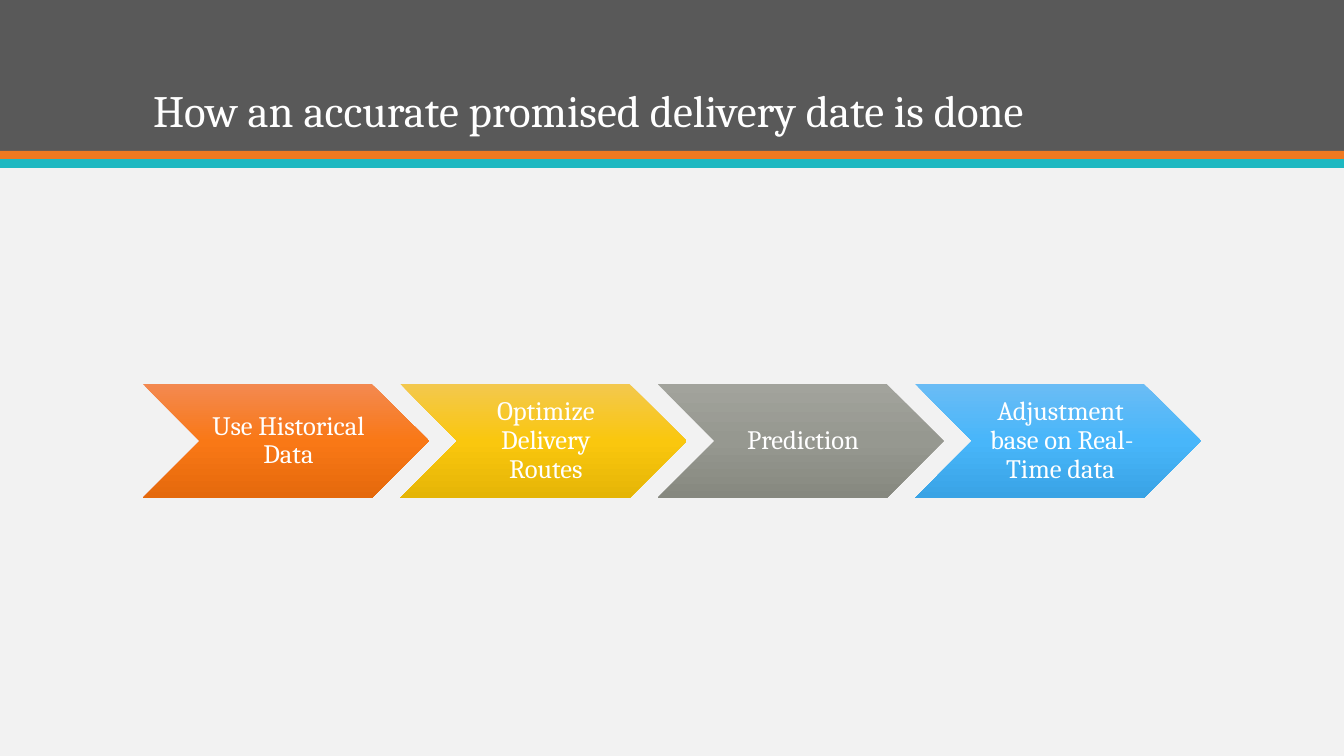
from copy import deepcopy

from pptx import Presentation
from pptx.dml.color import RGBColor
from pptx.enum.shapes import MSO_SHAPE
from pptx.enum.text import MSO_ANCHOR, MSO_AUTO_SIZE, PP_ALIGN
from pptx.oxml.ns import qn
from pptx.util import Pt

WHITE = RGBColor(0xFF, 0xFF, 0xFF)
PALE = RGBColor(0xF2, 0xF2, 0xF2)
CHARCOAL = RGBColor(0x59, 0x59, 0x59)
ORANGE = RGBColor(0xEF, 0x79, 0x20)
TEAL = RGBColor(0x1E, 0xB8, 0xC1)
ORANGE_SHADES = (RGBColor(0xF3, 0x89, 0x50), RGBColor(0xF9, 0x78, 0x16), RGBColor(0xE5, 0x69, 0x0C))
YELLOW_SHADES = (RGBColor(0xF3, 0xC8, 0x4E), RGBColor(0xFA, 0xC7, 0x0E), RGBColor(0xE5, 0xB5, 0x06))
GREY_SHADES = (RGBColor(0xA2, 0xA3, 0x9C), RGBColor(0x96, 0x98, 0x90), RGBColor(0x86, 0x88, 0x7F))
BLUE_SHADES = (RGBColor(0x6A, 0xBC, 0xF5), RGBColor(0x48, 0xB6, 0xFA), RGBColor(0x39, 0xA3, 0xE5))

TITLE = "How an accurate promised delivery date is done"
STEPS = [
    ("Use Historical Data", ORANGE_SHADES),
    ("Optimize Delivery Routes", YELLOW_SHADES),
    ("Prediction", GREY_SHADES),
    ("Adjustment base on Real-Time data", BLUE_SHADES),
]
BANDS = [(0, 151, CHARCOAL), (151, 8, ORANGE), (159, 9, TEAL)]

SLIDE_WIDTH, SLIDE_HEIGHT = 1344, 756
TITLE_BOX = (143, 28, 1058, 114)
STEPS_LEFT, STEPS_TOP, STEPS_WIDTH = 143, 384, 1058
STEP_WIDTH, STEP_HEIGHT = 286, 114
EMU_PER_PX = 914400 / 100.8


def px(length):
    return round(length * EMU_PER_PX)


def set_all(target, values):
    for name, value in values.items():
        setattr(target, name, value)


def write(shape, text, size, align, anchor, margins=None):
    frame = shape.text_frame
    frame.text = text
    set_all(frame, {"word_wrap": True, "auto_size": MSO_AUTO_SIZE.NONE, "vertical_anchor": anchor})
    set_all(frame, margins or {})
    para = frame.paragraphs[0]
    set_all(para, {"alignment": align, "line_spacing": 0.9})
    span = para.runs[0]
    set_all(span.font, {"name": "Cambria", "size": Pt(size)})
    span.font.color.rgb = WHITE


def add_plain_shape(page, kind, box):
    shape = page.shapes.add_shape(kind, *map(px, box))
    shape.shadow.inherit = False
    shape.line.fill.background()
    return shape


def shade(shape, colours):
    shape.fill.gradient()
    shape.fill.gradient_angle = 270
    stop_list = shape.element.spPr.find(qn("a:gradFill")).find(qn("a:gsLst"))
    stop_list.insert(1, deepcopy(stop_list[0]))
    for stop, position, colour in zip(shape.fill.gradient_stops, (0, 0.5, 1), colours):
        stop.position = position
        stop.color.rgb = colour


def main():
    deck = Presentation()
    set_all(deck, {"slide_width": px(SLIDE_WIDTH), "slide_height": px(SLIDE_HEIGHT)})
    page = deck.slides.add_slide(deck.slide_layouts[5])
    page.background.fill.solid()
    page.background.fill.fore_color.rgb = PALE

    title = page.shapes.title
    for top, height, colour in BANDS:
        band = add_plain_shape(page, MSO_SHAPE.RECTANGLE, (0, top, SLIDE_WIDTH, height))
        band.fill.solid()
        band.fill.fore_color.rgb = colour
    band.element.addnext(title.element)

    set_all(title, dict(zip(("left", "top", "width", "height"), map(px, TITLE_BOX))))
    write(title, TITLE, 32, PP_ALIGN.LEFT, MSO_ANCHOR.BOTTOM)

    pitch = (STEPS_WIDTH - STEP_WIDTH) / (len(STEPS) - 1)
    margins = {"margin_left": px(8), "margin_top": px(3), "margin_right": px(3), "margin_bottom": px(3)}
    for index, (text, colours) in enumerate(STEPS):
        box = (STEPS_LEFT + index * pitch, STEPS_TOP, STEP_WIDTH, STEP_HEIGHT)
        step = add_plain_shape(page, MSO_SHAPE.CHEVRON, box)
        shade(step, colours)
        write(step, text, 19, PP_ALIGN.CENTER, MSO_ANCHOR.MIDDLE, margins)

    deck.save("out.pptx")


if __name__ == "__main__":
    main()
